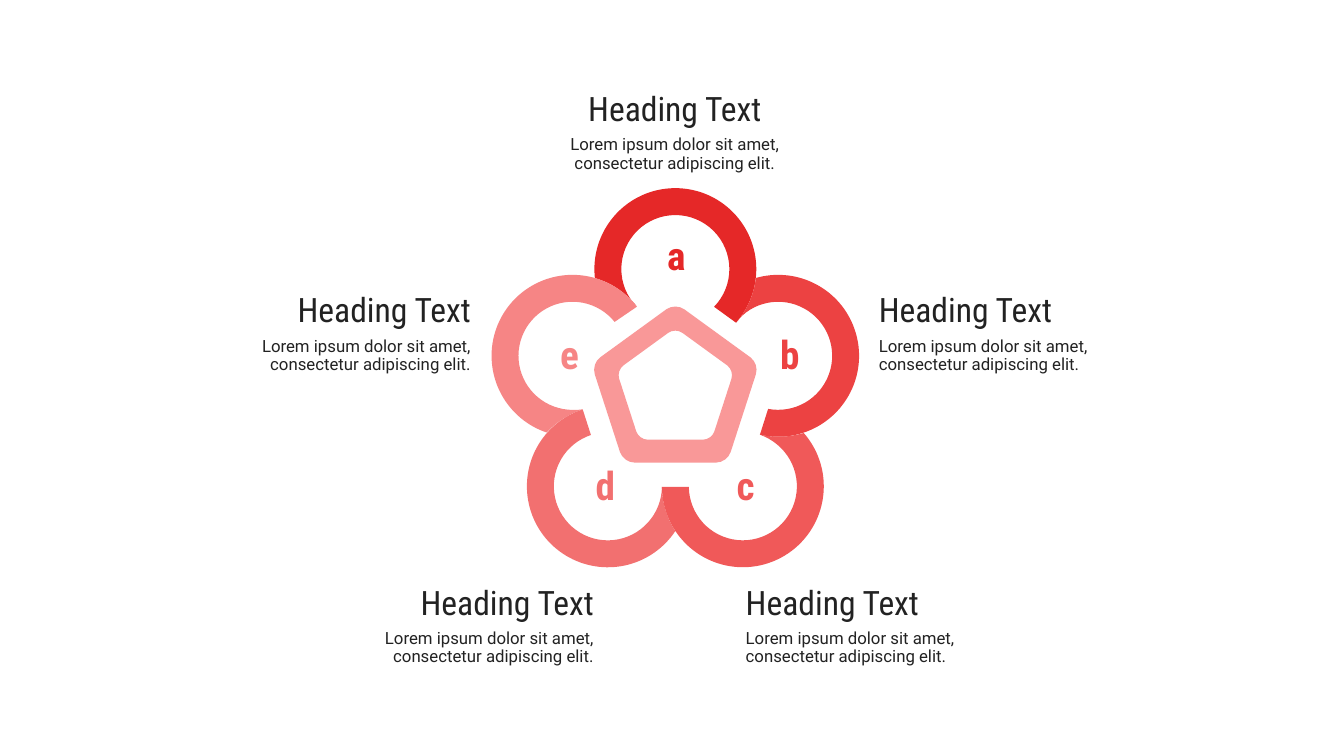
from dataclasses import dataclass
from math import atan2, ceil, cos, pi, radians, sin, tan, tau

from lxml import etree
from pptx import Presentation
from pptx import util as u
from pptx.dml.color import RGBColor
from pptx.enum import text
from pptx.oxml.ns import qn

CELL = u.Inches(0.1)
COLUMNS, ROWS = 133.33, 75
OUTER_RADIUS, INNER_RADIUS = 8.03, 5.36
CORNER_PULL = 0.57
LETTER_SIZE = (3.6, 5.7)
CAPTION_SIZE = (27.3, 9.5)
HEADING = "Heading Text"
BODY = "Lorem ipsum dolor sit amet, consectetur adipiscing elit."
HEADING_FONT, BODY_FONT = "Roboto Condensed", "Roboto"
COLOURS = {
    "a": "E52828",
    "b": "EC4242",
    "c": "F05959",
    "d": "F27070",
    "e": "F68585",
    "pentagon": "F99898",
    "text": "222222",
}

Point = tuple[float, float]
Curve = tuple[Point, Point, Point, Point]
Align = text.PP_ALIGN


@dataclass(frozen=True)
class Petal:
    letter: str
    centre: Point
    tip_outer: Point
    tip_inner: Point
    joint: Point
    tail: Point
    letter_at: Point
    caption_at: Point
    align: Align


@dataclass(frozen=True)
class Pentagon:
    centre: Point
    radius: float
    corner: float


PETALS = [
    Petal("a", (67, 26.7), (73, 32), (70.8, 30.4), (59, 27.6), (63.2, 30.4),
          (65.2, 22.5), (53.3, 8.2), Align.CENTER),
    Petal("e", (56.8, 35.3), (63.1, 30.5), (60.9, 32), (54.2, 43), (57.7, 40.6),
          (54.6, 32.3), (20.4, 28.2), Align.RIGHT),
    Petal("d", (60.3, 48.25), (57.8, 40.6), (58.6, 43.1), (67, 52.7), (65.6, 48.3),
          (58.1, 45.3), (32.6, 57.2), Align.RIGHT),
    Petal("c", (73.7, 48.25), (65.6, 48.3), (68.4, 48.3), (79.7, 43), (75.4, 43.2),
          (72.1, 45.3), (73, 57.2), Align.LEFT),
    Petal("b", (77.2, 35.3), (75.4, 43.1), (76.2, 40.6), (75, 27.6), (73, 32),
          (76.4, 32.3), (86.2, 28.2), Align.LEFT),
]
PENTAGONS = [Pentagon((67, 38.8), 8.76, 1.1), Pentagon((67, 38.65), 6.14, 0.87)]


def cells(count: float) -> int:
    return round(count * CELL)


def between(start: Point, end: Point, share: float) -> Point:
    return (start[0] + (end[0] - start[0]) * share, start[1] + (end[1] - start[1]) * share)


def arc(centre: Point, radius: float, start: Point, end: Point, turn: int) -> list[Curve]:
    x, y = centre
    first, last = (atan2(p[1] - y, p[0] - x) for p in (start, end))
    sweep = turn * ((turn * (last - first)) % tau)
    count = ceil(abs(sweep) / (pi / 4))
    step = sweep / count
    handle = 4 / 3 * tan(step / 4)

    def on_ring(angle: float, pull: float) -> Point:
        return (x + radius * (cos(angle) - pull * sin(angle)),
                y + radius * (sin(angle) + pull * cos(angle)))

    angles = [first + step * i for i in range(count)]
    return [(on_ring(t, 0), on_ring(t, handle), on_ring(t + step, -handle), on_ring(t + step, 0))
            for t in angles]


def petal_outline(petal: Petal, neighbour: Petal) -> list[Curve]:
    return (
        arc(petal.centre, OUTER_RADIUS, petal.tip_outer, petal.joint, -1)
        + arc(neighbour.centre, OUTER_RADIUS, petal.joint, neighbour.tip_outer, 1)
        + arc(petal.centre, INNER_RADIUS, petal.tail, petal.tip_inner, 1)
    )


def pentagon_outline(pentagon: Pentagon) -> list[Curve]:
    x, y = pentagon.centre
    angles = [radians(72 * i - 90) for i in range(5)]
    vertices = [(x + pentagon.radius * cos(t), y + pentagon.radius * sin(t)) for t in angles]
    share = pentagon.corner / (2 * pentagon.radius * sin(pi / 5))
    curves = []
    for i, vertex in enumerate(vertices):
        following = vertices[(i + 1) % 5]
        entry, leave = between(vertex, vertices[i - 1], share), between(vertex, following, share)
        next_entry = between(following, vertex, share)
        curves += [
            (entry, between(entry, vertex, CORNER_PULL), between(leave, vertex, CORNER_PULL), leave),
            (leave, leave, next_entry, next_entry),
        ]
    return curves


def bend_segments(outline) -> None:
    segments = list(outline._element.iter(qn("a:lnTo")))
    for i in range(0, len(segments), 3):
        bend = etree.Element(qn("a:cubicBezTo"))
        segments[i].addprevious(bend)
        for segment in segments[i:i + 3]:
            bend.append(segment[0])
            segment.getparent().remove(segment)


def draw_outline(shapes, contours: list[list[Curve]], colour: str) -> None:
    builder = None
    for curves in contours:
        start = tuple(map(cells, curves[0][0]))
        if builder is None:
            builder = shapes.build_freeform(*start)
        else:
            builder.move_to(*start)
        points = [(cells(x), cells(y)) for curve in curves for x, y in curve[1:]]
        builder.add_line_segments(points, close=True)
    outline = builder.convert_to_shape()
    bend_segments(outline)
    outline.shadow.inherit = False
    outline.fill.solid()
    outline.fill.fore_color.rgb = RGBColor.from_string(COLOURS[colour])
    outline.line.fill.background()


def add_frame(shapes, at: Point, size: Point, wrap: bool):
    frame = shapes.add_textbox(*map(cells, at + size)).text_frame
    frame.word_wrap = wrap
    frame.auto_size = text.MSO_AUTO_SIZE.SHAPE_TO_FIT_TEXT
    return frame


def add_run(paragraph, words: str, size: int, font: str, colour: str, bold: bool = False) -> None:
    run = paragraph.add_run()
    run.text = words
    run.font.size = u.Pt(size)
    run.font.name = font
    run.font.bold = bold
    run.font.color.rgb = RGBColor.from_string(COLOURS[colour])


def draw_letter(shapes, petal: Petal) -> None:
    paragraph = add_frame(shapes, petal.letter_at, LETTER_SIZE, False).paragraphs[0]
    paragraph.alignment = Align.CENTER
    add_run(paragraph, petal.letter, 28, HEADING_FONT, petal.letter, True)


def draw_caption(shapes, petal: Petal) -> None:
    frame = add_frame(shapes, petal.caption_at, CAPTION_SIZE, True)
    heading, body = frame.paragraphs[0], frame.add_paragraph()
    for paragraph in (heading, body):
        paragraph.alignment = petal.align
        paragraph.space_before = u.Pt(6)
    body.line_spacing = 0.9
    add_run(heading, HEADING, 24, HEADING_FONT, "text")
    add_run(body, BODY, 12, BODY_FONT, "text")


def main() -> None:
    deck = Presentation()
    deck.slide_width, deck.slide_height = cells(COLUMNS), cells(ROWS)
    slide = deck.slides.add_slide(deck.slide_layouts[6])
    draw_outline(slide.shapes, [pentagon_outline(p) for p in PENTAGONS], "pentagon")
    flower = slide.shapes.add_group_shape().shapes
    for petal, neighbour in zip(PETALS, PETALS[1:] + PETALS[:1]):
        draw_outline(flower, [petal_outline(petal, neighbour)], petal.letter)
    for petal in PETALS:
        draw_letter(flower, petal)
        draw_caption(slide.shapes, petal)
    deck.save("out.pptx")


if __name__ == "__main__":
    main()
